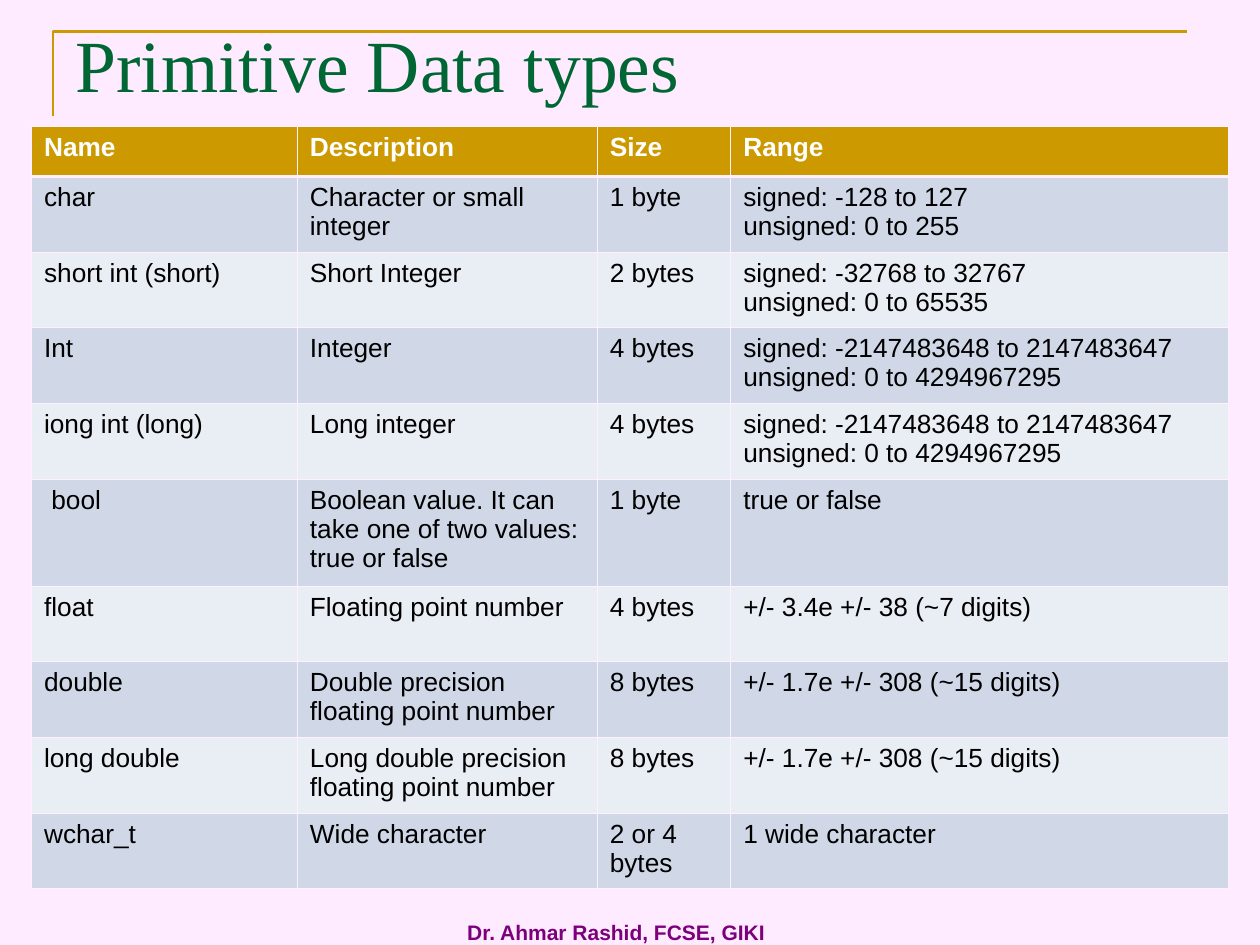
"""Build a slide with a table of primitive data types."""
import pptx
import pptx.dml.color
import pptx.enum.text
import pptx.oxml
import pptx.oxml.ns
import pptx.util

Inches = pptx.util.Inches
Pt = pptx.util.Pt


def paint(part, tint):
    part.solid()
    part.fore_color.rgb = pptx.dml.color.RGBColor.from_string(tint)


def style(para, face, size, tint, bold=False):
    para.font.name = face
    para.font.size = Pt(size)
    para.font.bold = bold
    paint(para.font.fill, tint)


deck = pptx.Presentation()
deck.slide_width = Inches(10)
deck.slide_height = Inches(7.5)
slide = deck.slides.add_slide(deck.slide_layouts[6])
paint(slide.background.fill, "FFEBFF")

path = slide.shapes.build_freeform(Inches(0.42), Inches(0.92), scale=1.0)
path.add_line_segments(
    [(Inches(0.42), Inches(0.25)), (Inches(9.42), Inches(0.25))], close=False)
frame = path.convert_to_shape()
frame.shadow.inherit = False
frame.fill.background()
paint(frame.line.fill, "CC9900")
frame.line.width = Pt(1.5)

foot = slide.shapes.add_textbox(
    Inches(3.61), Inches(7.25), Inches(2.58), Inches(0.3)).text_frame
foot.word_wrap = False
foot.text = "Dr. Ahmar Rashid, FCSE, GIKI"
style(foot.paragraphs[0], "Arial", 12, "7C007C", True)

title = slide.shapes.add_textbox(
    Inches(0.5), Inches(0), Inches(9), Inches(1)).text_frame
title.word_wrap = True
title.vertical_anchor = pptx.enum.text.MSO_ANCHOR.MIDDLE
title.text = "Primitive Data types"
style(title.paragraphs[0], "Times New Roman", 42, "006633")

wide = "signed: -2147483648 to 2147483647\nunsigned: 0 to 4294967295"
rows = [
    ("Name", "Description", "Size", "Range"),
    ("char", "Character or small integer", "1 byte",
     "signed: -128 to 127\nunsigned: 0 to 255"),
    ("short int (short)", "Short Integer", "2 bytes",
     "signed: -32768 to 32767\nunsigned: 0 to 65535"),
    ("Int", "Integer", "4 bytes", wide),
    ("iong int (long)", "Long integer", "4 bytes", wide),
    (" bool", "Boolean value. It can take one of two values: true or false",
     "1 byte", "true or false"),
    ("float", "Floating point number", "4 bytes",
     "+/- 3.4e +/- 38 (~7 digits)"),
    ("double", "Double precision floating point number", "8 bytes",
     "+/- 1.7e +/- 308 (~15 digits)"),
    ("long double", "Long double precision floating point number", "8 bytes",
     "+/- 1.7e +/- 308 (~15 digits)"),
    ("wchar_t", "Wide character", "2 or 4 bytes", "1 wide character"),
]
highs = [0.4] + [0.6] * 4 + [0.85] + [0.6] * 4
table = slide.shapes.add_table(
    len(rows), 4, Inches(0.25), Inches(1), Inches(9.5),
    Inches(sum(highs))).table
for col, width in zip(table.columns, (2.11, 2.38, 1.06, 3.95)):
    col.width = Inches(width)

for r, (row, high) in enumerate(zip(rows, highs)):
    table.rows[r].height = Inches(high)
    head = r == 0
    band = "CC9900" if head else ("E9EDF4", "D0D8E8")[r % 2]
    for c, text in enumerate(row):
        cell = table.cell(r, c)
        cell.text = text
        for para in cell.text_frame.paragraphs:
            style(para, "Arial", 15, "FFFFFF" if head else "000000", head)
        for side in "LRTB":
            thick = (r, side) in ((0, "B"), (1, "T"))
            cell._tc.get_or_add_tcPr().append(pptx.oxml.parse_xml(
                f'<a:ln{side} {pptx.oxml.ns.nsdecls("a")} '
                f'w="{Pt(1.47 if thick else 0.45)}"><a:solidFill>'
                f'<a:srgbClr val="FFEFFF"/></a:solidFill></a:ln{side}>'))
        paint(cell.fill, band)

deck.save("out.pptx")
